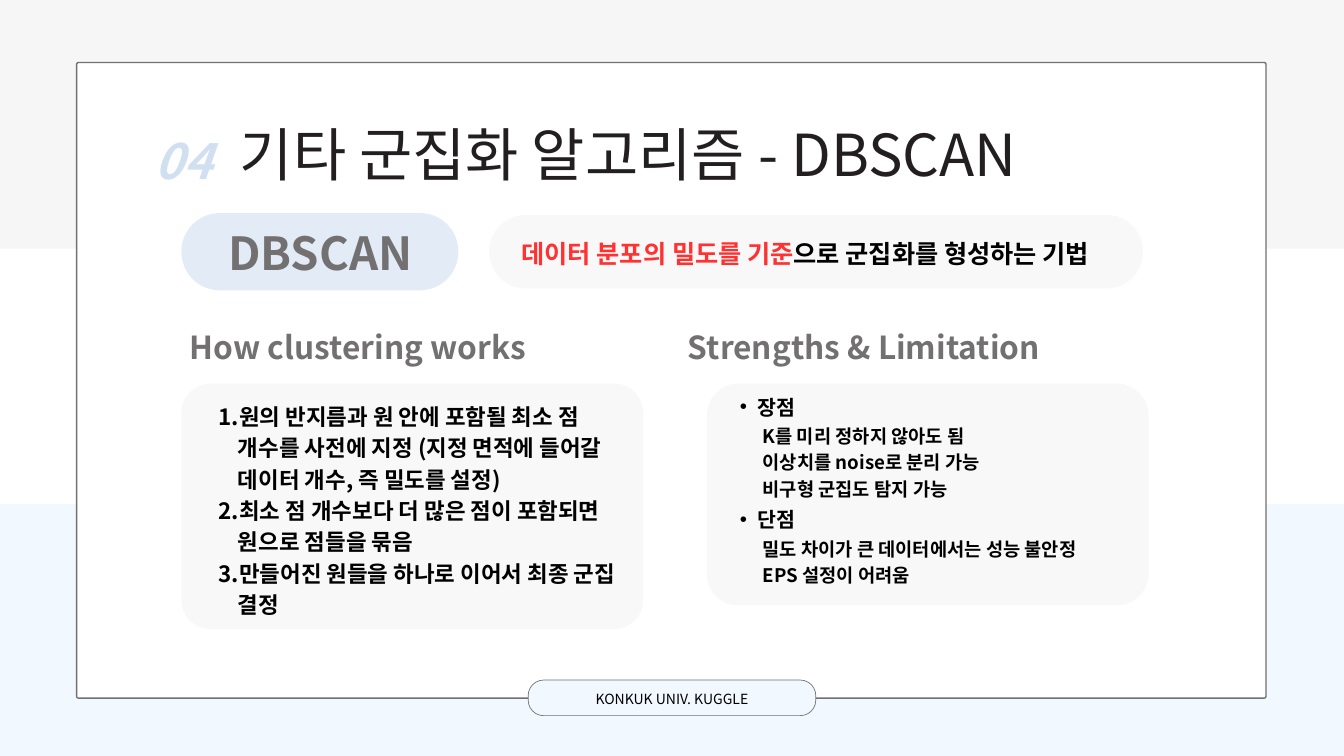
from lxml.etree import SubElement
from pptx import Presentation
from pptx.dml.color import RGBColor
from pptx.enum.shapes import MSO_SHAPE as Shape
from pptx.enum.text import MSO_ANCHOR as Anchor, MSO_AUTO_SIZE as AutoSize, PP_ALIGN as Align
from pptx.oxml.ns import qn
from pptx.util import Inches, Pt

COLORS = {
    "white": "FFFFFF", "black": "000000", "ink": "231F20", "gray": "727070",
    "mist": "F4F4F4", "ice": "F2F8FF", "blue": "D1E0F1", "red": "FF3131",
}
FONT = "Noto Sans CJK KR"
LEADING = 1.4


def rgb(name):
    return RGBColor.from_string(COLORS[name])


class SlideBuilder:
    def __init__(self, prs):
        self.slide = prs.slides.add_slide(prs.slide_layouts[5])
        self.shapes = self.slide.shapes

    def panel(self, box, fill, alpha=None, radius=None, line=None):
        """Rectangle, rounded when a radius in inches is given."""
        kind = Shape.RECTANGLE if radius is None else Shape.ROUNDED_RECTANGLE
        panel = self.shapes.add_shape(kind, *map(Inches, box))
        panel.shadow.inherit = False
        if radius is not None:
            panel.adjustments[0] = radius / min(box[2:])
        panel.fill.solid()
        panel.fill.fore_color.rgb = rgb(fill)
        if alpha:
            color = panel._element.spPr.find(".//" + qn("a:srgbClr"))
            SubElement(color, qn("a:alpha"), val=str(alpha * 1000))
        if line:
            panel.line.color.rgb = rgb("gray")
            panel.line.width = Pt(line)
        else:
            panel.line.fill.background()
        return panel

    def fill_text(self, frame, paragraphs, size, color="black", bold=True, italic=False,
                  align=Align.LEFT, bullet=None, indent=0, anchor=Anchor.TOP):
        """Each paragraph is a string or a list of (text, colour) runs."""
        frame.word_wrap = True
        frame.auto_size = AutoSize.NONE
        frame.vertical_anchor = anchor
        frame.margin_left = frame.margin_right = frame.margin_top = frame.margin_bottom = 0
        for i, content in enumerate(paragraphs):
            paragraph = frame.paragraphs[0] if i == 0 else frame.add_paragraph()
            paragraph.alignment = align
            paragraph.line_spacing = Pt(round(size * LEADING, 1))
            if bullet:
                self.add_bullet(paragraph, bullet, indent)
            font = paragraph.font
            font.name, font.size, font.bold, font.italic = FONT, Pt(size), bold, italic
            font.color.rgb = rgb(color)
            SubElement(paragraph._p.pPr.find(qn("a:defRPr")), qn("a:ea"), typeface=FONT)
            if isinstance(content, str):
                paragraph.add_run().text = content
                continue
            for text, run_color in content:
                run = paragraph.add_run()
                run.text = text
                run.font.color.rgb = rgb(run_color)

    def add_bullet(self, paragraph, bullet, indent):
        paragraph.level = 1
        props = paragraph._p.get_or_add_pPr()
        props.set("marL", str(Inches(indent)))
        props.set("indent", str(-Inches(indent / 2)))
        if bullet == "number":
            SubElement(props, qn("a:buAutoNum"), type="arabicPeriod")
        else:
            SubElement(props, qn("a:buFont"), typeface="Arial")
            SubElement(props, qn("a:buChar"), char=bullet)

    def text(self, box, paragraphs, size, **style):
        frame = self.shapes.add_textbox(*map(Inches, box)).text_frame
        self.fill_text(frame, paragraphs, size, **style)

    def title(self, box, text, size, **style):
        title = self.shapes.title
        title.left, title.top, title.width, title.height = map(Inches, box)
        self.fill_text(title.text_frame, [text], size, **style)
        # Bring the title in front of the panels drawn so far
        self.shapes._spTree.append(title._element)


def main():
    prs = Presentation()
    prs.slide_width, prs.slide_height = Inches(20), Inches(11.25)
    page = SlideBuilder(prs)

    # Background bands and framed page
    page.panel((0, 0, 20, 3.7), "mist", alpha=74)
    page.panel((0, 7.5, 20, 3.75), "ice")
    page.panel((1.14, 0.93, 17.7, 9.46), "white", radius=0.03, line=1.5)

    # Footer
    footer = page.panel((7.86, 10.12, 4.28, 0.53), "ice", radius=0.23, line=0.75)
    page.fill_text(footer.text_frame, ["KONKUK UNIV. KUGGLE"], 15, bold=False,
                   align=Align.CENTER, anchor=Anchor.MIDDLE)

    # Heading
    page.title((3.57, 1.6, 12.77, 1.16), "기타 군집화 알고리즘 - DBSCAN", 62,
               color="ink", bold=False)
    page.text((2.3, 1.8, 1.1, 1.06), ["04"], 52, color="blue", italic=True)

    # Definition
    page.panel((2.7, 3.17, 4.12, 1.15), "blue", alpha=60, radius=0.57)
    page.text((2.97, 3.22, 3.59, 0.93), ["DBSCAN"], 48.8, color="gray", align=Align.CENTER)
    page.panel((7.28, 3.2, 9.73, 1.09), "mist", alpha=60, radius=0.54)
    page.text((7.76, 3.47, 8.79, 0.52),
              [[("데이터 분포의 밀도를 기준", "red"), ("으로 군집화를 형성하는 기법", "black")]], 27)

    # Column headings
    for left, heading in ((2.7, "How clustering works"), (10.23, "Strengths & Limitation")):
        page.text((left, 4.78, 5.26, 0.65), [heading], 33.9, color="gray", align=Align.CENTER)

    # Clustering steps
    page.panel((2.7, 5.71, 6.87, 3.65), "mist", alpha=60, radius=0.43)
    steps = [
        "원의 반지름과 원 안에 포함될 최소 점 개수를 사전에 지정 (지정 면적에 들어갈 데이터 개수, 즉 밀도를 설정)",
        "최소 점 개수보다 더 많은 점이 포함되면 원으로 점들을 묶음",
        "만들어진 원들을 하나로 이어서 최종 군집 결정",
    ]
    page.text((2.97, 5.93, 6.29, 3.2), steps, 24, bullet="number", indent=0.57)

    # Strengths and limitations
    page.panel((10.52, 5.71, 6.57, 3.3), "mist", alpha=60, radius=0.47)
    groups = [
        (5.81, "장점", ["K를 미리 정하지 않아도 됨", "이상치를 noise로 분리 가능", "비구형 군집도 탐지 가능"]),
        (7.49, "단점", ["밀도 차이가 큰 데이터에서는 성능 불안정", "EPS 설정이 어려움"]),
    ]
    for top, label, points in groups:
        page.text((10.75, top, 5.23, 0.42), [label], 22, bullet="•", indent=0.52)
        page.text((11.35, top + 0.46, 5.23, 0.39 * len(points)), points, 20)

    prs.save("out.pptx")


if __name__ == "__main__":
    main()
